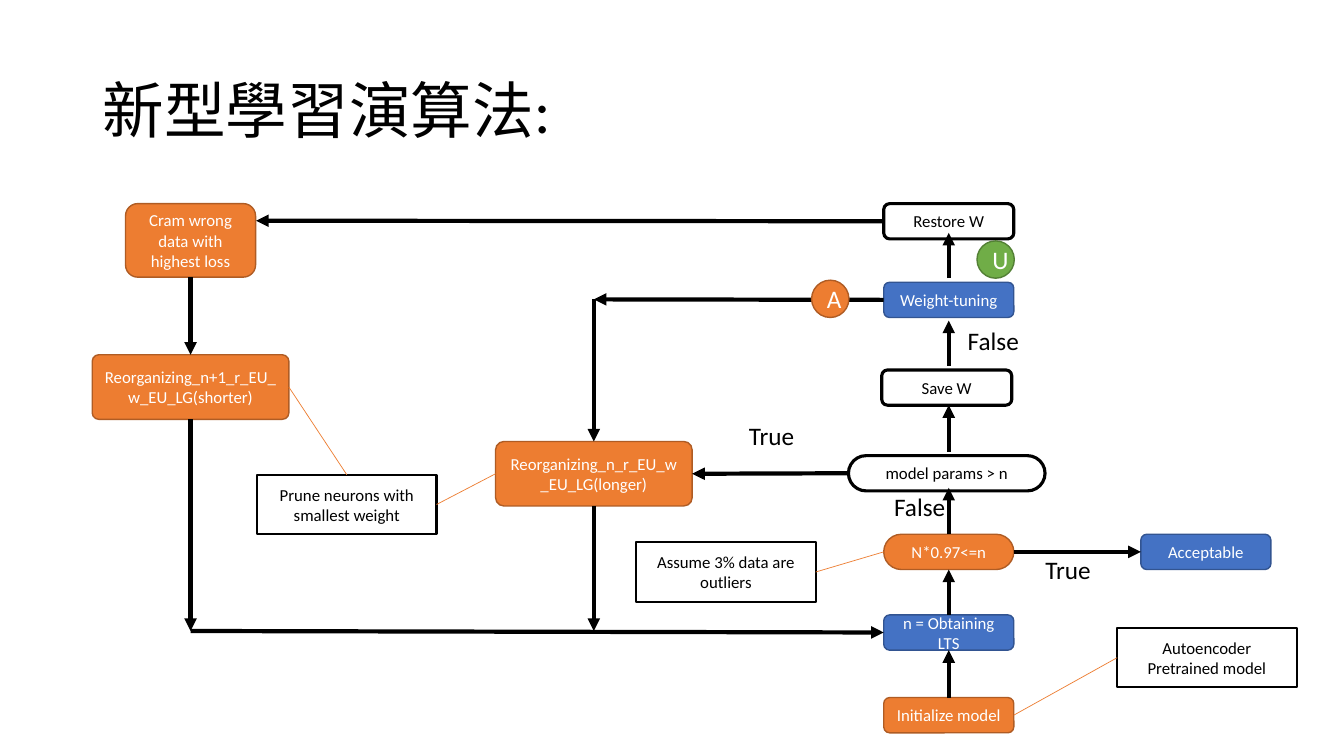
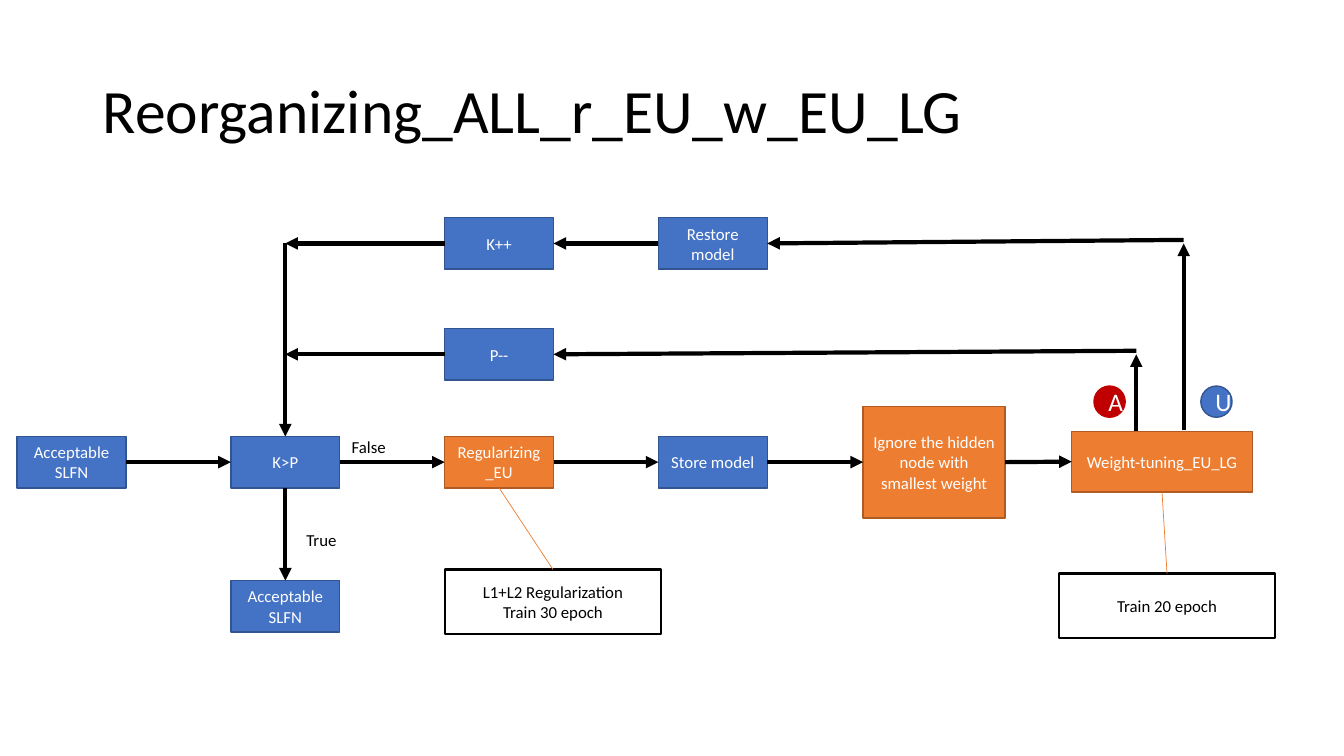
from collections import namedtuple
from lxml import etree
from pptx import Presentation
from pptx import util as u
from pptx.dml.color import RGBColor
from pptx.enum import shapes, text
from pptx.oxml.ns import qn

Style = namedtuple("Style", "fill edge weight ink size")
Stroke = namedtuple("Stroke", "color weight head")
theme = {
    "font": "Calibri",
    "title": Style(None, None, 0, "000000", 44),
    "label": Style(None, None, 0, "000000", 18),
    "small label": Style(None, None, 0, "000000", 12),
    "orange": Style("ED7D31", "AF5C24", 1, "FFFFFF", 12),
    "blue": Style("4472C4", "325491", 1, "FFFFFF", 12),
    "outline": Style("FFFFFF", "000000", 2.25, "000000", 12),
    "note": Style("FFFFFF", "000000", 1.5, "000000", 12),
    "orange badge": Style("ED7D31", "AF5C24", 1, "FFFFFF", 18),
    "green badge": Style("70AD47", "538035", 1, "FFFFFF", 18),
    "red badge": Style("C00000", "C00000", 1, "FFFFFF", 18),
    "blue badge": Style("4472C4", "325491", 1, "FFFFFF", 18),
    "flow": Stroke("000000", 3, True),
    "callout": Stroke("ED7D31", 0.5, False),
}
RECT = shapes.MSO_SHAPE.RECTANGLE
ROUND = shapes.MSO_SHAPE.ROUNDED_RECTANGLE
OVAL = shapes.MSO_SHAPE.OVAL
TOP, LEFT, BOTTOM, RIGHT = range(4)


def add_box(page, look, words, left, top, width, height, outline=RECT, corner=None):
    style = theme[look]
    area = [u.Inches(length) for length in (left, top, width, height)]
    if style.fill:
        box = page.shapes.add_shape(outline, *area)
        box.shadow.inherit = False
        box.fill.solid()
        box.fill.fore_color.rgb = RGBColor.from_string(style.fill)
        box.line.color.rgb = RGBColor.from_string(style.edge)
        box.line.width = u.Pt(style.weight)
        if corner is not None:
            box.adjustments[0] = corner
    else:
        box = page.shapes.add_textbox(*area)
    frame = box.text_frame
    frame.word_wrap = True
    frame.text = words
    if style.fill or look == "title":
        frame.vertical_anchor = text.MSO_ANCHOR.MIDDLE
    else:
        frame.auto_size = text.MSO_AUTO_SIZE.SHAPE_TO_FIT_TEXT
    for para in frame.paragraphs:
        para.alignment = text.PP_ALIGN.CENTER if style.fill else text.PP_ALIGN.LEFT
        if look == "title":
            para.line_spacing = 0.9
        for span in para.runs:
            span.font.name = theme["font"]
            span.font.size = u.Pt(style.size)
            span.font.color.rgb = RGBColor.from_string(style.ink)
    return box


def add_link(page, look, start, end):
    stroke = theme[look]
    link = page.shapes.add_connector(shapes.MSO_CONNECTOR.STRAIGHT, 0, 0, 0, 0)
    if isinstance(start[0], (int, float)):
        link.begin_x, link.begin_y = map(u.Inches, start)
    else:
        link.begin_connect(*start)
    if isinstance(end[0], (int, float)):
        link.end_x, link.end_y = map(u.Inches, end)
    else:
        link.end_connect(*end)
    link.line.color.rgb = RGBColor.from_string(stroke.color)
    link.line.width = u.Pt(stroke.weight)
    properties = link._element.spPr
    if stroke.head:
        etree.SubElement(properties.find(qn("a:ln")), qn("a:tailEnd"), type="triangle")
    etree.SubElement(properties, qn("a:effectLst"))


deck = Presentation()
deck.slide_width, deck.slide_height = u.Inches(13.33), u.Inches(7.5)
pages = []
for heading in ("新型學習演算法:", "Reorganizing_ALL_r_EU_w_EU_LG"):
    page = deck.slides.add_slide(deck.slide_layouts[6])
    add_box(page, "title", heading, 0.92, 0.4, 11.5, 1.45)
    pages.append(page)
learning, reorganizing = pages

outer, middle, spine, exit_column = 1.89, 5.89, 9.41, 11.96
step_width, wide_width, step_height, tall_height = 1.29, 1.95, 0.35, 0.64
return_row = 6.26
node = {}
for name, look, words, center, top, width, height, corner in (
    ("start", "orange", "Initialize model", spine, 6.92, step_width, step_height, None),
    ("obtain", "blue", "n = Obtaining\nLTS", spine, 6.1, step_width, step_height, None),
    ("enough", "orange", "N*0.97<=n", spine, 5.3, step_width, step_height, 0.5),
    ("accept", "blue", "Acceptable", exit_column, 5.3, step_width, step_height, None),
    ("params", "outline", "model params > n", spine - 0.02, 4.52, wide_width, step_height, 0.5),
    ("save", "outline", "Save W", spine - 0.02, 3.67, step_width, step_height, None),
    ("tune", "blue", "Weight-tuning", spine, 2.8, step_width, step_height, None),
    ("restore", "outline", "Restore W", spine, 2.02, step_width, step_height, None),
    ("longer", "orange", "Reorganizing_n_r_EU_w_EU_LG(longer)", middle, 4.38, wide_width, tall_height, 0.13),
    ("shorter", "orange", "Reorganizing_n+1_r_EU_w_EU_LG(shorter)", outer, 3.52, wide_width, tall_height, 0.1),
    ("cram", "orange", "Cram wrong data with highest loss", outer, 2.02, step_width, 0.73, None),
):
    node[name] = add_box(learning, look, words, center - width / 2, top, width, height, ROUND, corner)

for words, left, top in (("True", 7.33, 4.12), ("False", 8.77, 4.83), ("True", 10.27, 5.45), ("False", 9.5, 3.18)):
    add_box(learning, "label", words, left, top, 0.86, 0.4)

for start, end in (
    ((node["start"], TOP), (node["obtain"], BOTTOM)),
    ((node["obtain"], TOP), (node["enough"], BOTTOM)),
    ((node["enough"], TOP), (spine, 4.84)),
    ((spine, 4.48), (spine, 4.02)),
    ((spine, 3.63), (spine, 3.18)),
    ((spine, 2.76), (spine, 2.31)),
    ((node["enough"], RIGHT), (node["accept"], LEFT)),
    ((node["params"], LEFT), (node["longer"], RIGHT)),
    ((node["restore"], LEFT), (2.54, 2.19)),
    ((node["tune"], LEFT), (middle, 2.97)),
    ((middle, 2.97), (node["longer"], TOP)),
    ((node["cram"], BOTTOM), (node["shorter"], TOP)),
    ((outer, return_row), (node["obtain"], LEFT)),
    ((node["shorter"], BOTTOM), (outer, return_row)),
    ((node["longer"], BOTTOM), (middle, return_row)),
):
    add_link(learning, "flow", start, end)

for look, words, left, top in (("orange badge", "A", 8.05, 2.78), ("green badge", "U", 9.69, 2.39)):
    add_box(learning, look, words, left, top, 0.37, 0.37, OVAL)

for words, left, top, targets in (
    ("Prune neurons with smallest weight", 2.55, 4.71, (("shorter", RIGHT, TOP), ("longer", LEFT, RIGHT))),
    ("Assume 3% data are outliers", 6.31, 5.38, (("enough", LEFT, RIGHT),)),
    ("Autoencoder\nPretrained model", 11.08, 6.23, (("start", RIGHT, LEFT),)),
):
    note = add_box(learning, "note", words, left, top, 1.78, 0.59)
    for target, target_side, note_side in targets:
        add_link(learning, "callout", (node[target], target_side), (note, note_side))

columns = [0.17 + 2.12 * index for index in range(4)]
restore_row, reduce_row, main_row, result_row = 2.16, 3.26, 4.33, 5.76
cell_width, cell_height = 1.08, 0.51
loop_x, accept_x, undo_x = columns[1] + cell_width / 2, 11.27, 11.74
restore_y, reduce_y = restore_row + cell_height / 2, reduce_row + cell_height / 2
cell = {}
for name, look, words, left, top, width, height in (
    ("input", "blue", "Acceptable\nSLFN", columns[0], main_row, cell_width, cell_height),
    ("check", "blue", "K>P", columns[1], main_row, cell_width, cell_height),
    ("regularize", "orange", "Regularizing_EU", columns[2], main_row, cell_width, cell_height),
    ("store", "blue", "Store model", columns[3], main_row, cell_width, cell_height),
    ("ignore", "orange", "Ignore the hidden node with smallest weight", 8.56, 4.03, 1.41, 1.11),
    ("tune", "orange", "Weight-tuning_EU_LG", 10.63, 4.28, 1.79, 0.6),
    ("restore", "blue", "Restore model", columns[3], restore_row, cell_width, cell_height),
    ("increase", "blue", "K++", columns[2], restore_row, cell_width, cell_height),
    ("reduce", "blue", "P--", columns[2], reduce_row, cell_width, cell_height),
    ("output", "blue", "Acceptable\nSLFN", columns[1], result_row, cell_width, cell_height),
):
    cell[name] = add_box(reorganizing, look, words, left, top, width, height)

chain = ("input", "check", "regularize", "store", "ignore", "tune")
for before, after in zip(chain, chain[1:]):
    add_link(reorganizing, "flow", (cell[before], RIGHT), (cell[after], LEFT))
for start, end in (
    ((accept_x, 3.48), (cell["reduce"], RIGHT)),
    ((accept_x, 4.28), (accept_x, reduce_y)),
    ((undo_x, 4.27), (undo_x, restore_y)),
    ((undo_x, 2.38), (cell["restore"], RIGHT)),
    ((cell["restore"], LEFT), (cell["increase"], RIGHT)),
    ((loop_x, restore_y), (cell["check"], TOP)),
    ((cell["increase"], LEFT), (loop_x, restore_y)),
    ((cell["check"], BOTTOM), (cell["output"], TOP)),
    ((cell["reduce"], LEFT), (loop_x, reduce_y)),
):
    add_link(reorganizing, "flow", start, end)

for words, left, top in (("True", 2.94, 5.21), ("False", 3.39, 4.28)):
    add_box(reorganizing, "small label", words, left, top, 0.84, 0.3)
for look, words, left in (("red badge", "A", 10.85), ("blue badge", "U", 11.91)):
    add_box(reorganizing, look, words, left, 3.83, 0.31, 0.31, OVAL)
for words, left, top, target in (
    ("L1+L2 Regularization\nTrain 30 epoch", columns[2], 5.65, "regularize"),
    ("Train 20 epoch", 10.5, 5.69, "tune"),
):
    note = add_box(reorganizing, "note", words, left, top, 2.15, 0.64)
    add_link(reorganizing, "callout", (cell[target], BOTTOM), (note, TOP))

deck.save("out.pptx")
